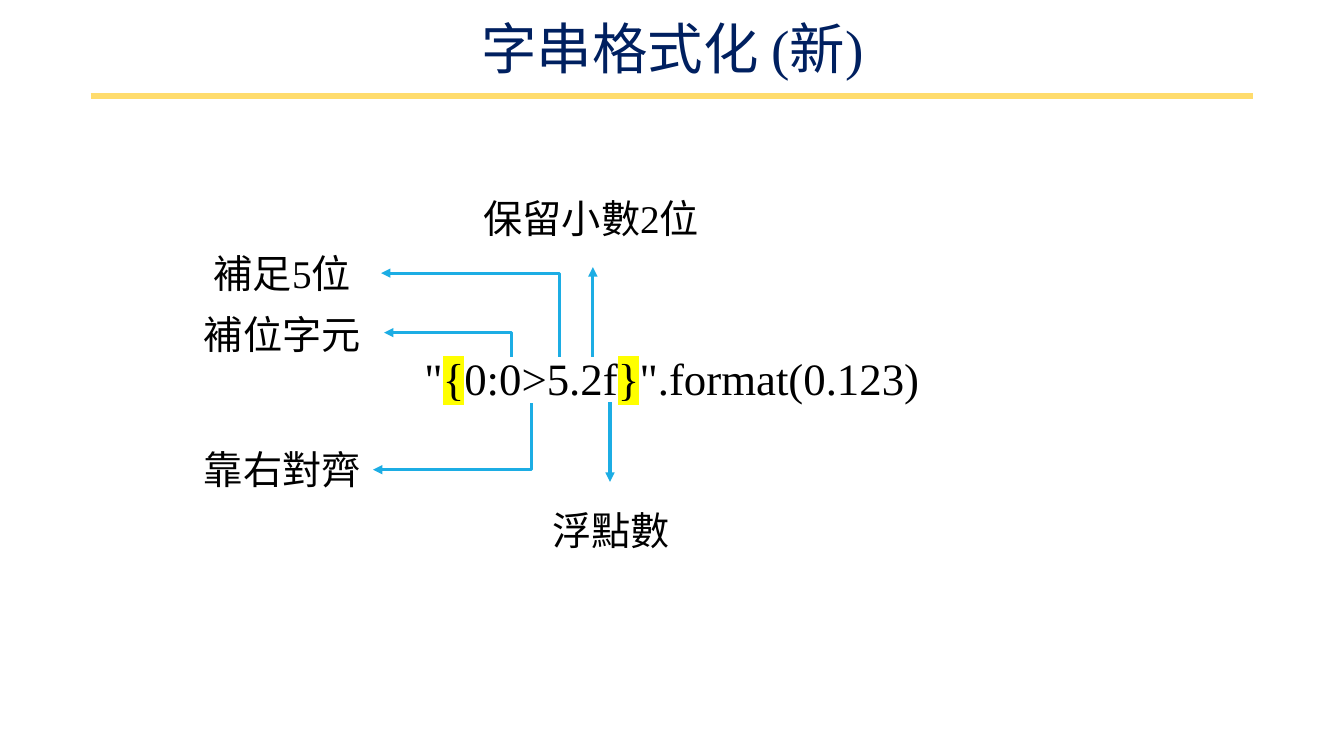
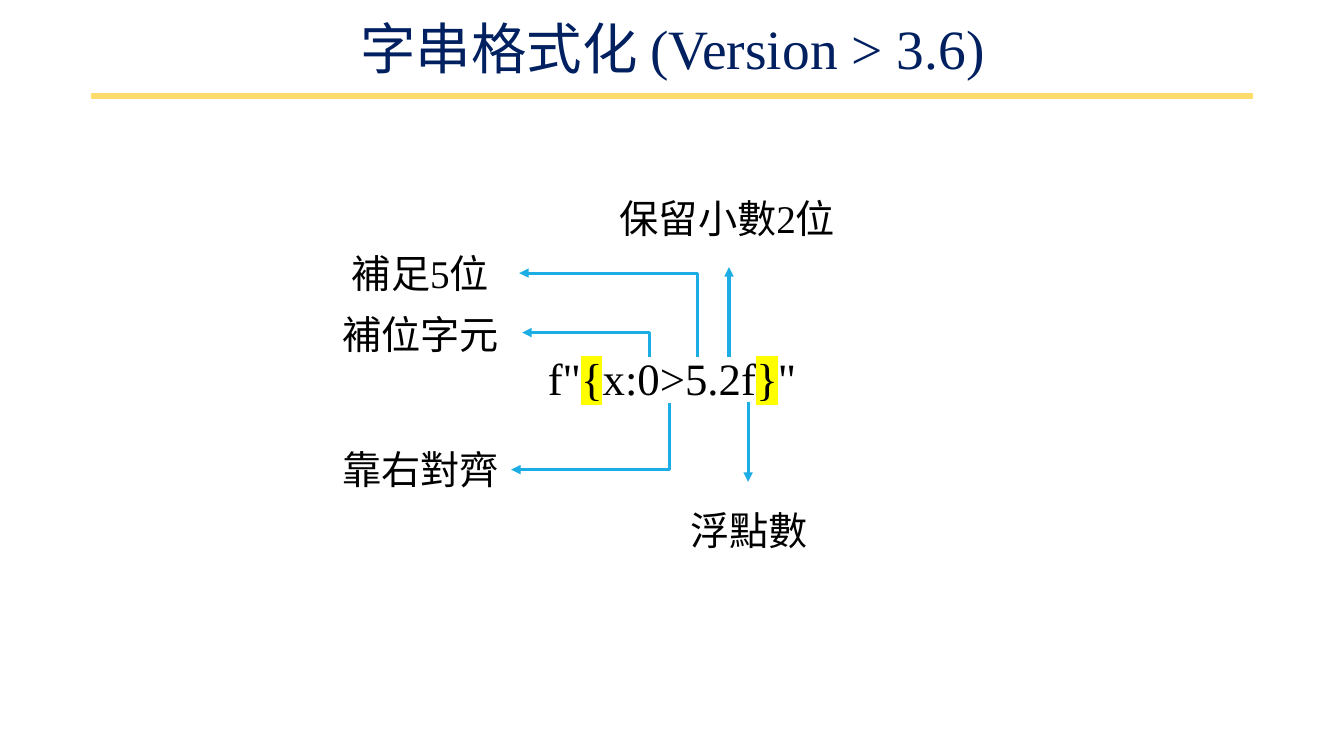
from dataclasses import dataclass

import pptx
import pptx.dml.color
import pptx.enum.shapes
import pptx.enum.text
import pptx.oxml
import pptx.oxml.ns
import pptx.util
from pptx.util import Inches

RGB = pptx.dml.color.RGBColor
Connector = pptx.enum.shapes.MSO_CONNECTOR
Point = tuple[float, float]


@dataclass(frozen=True)
class Theme:
    font: str = "Times New Roman"
    title_color: RGB = RGB(0x00, 0x20, 0x60)
    text_color: RGB = RGB(0x00, 0x00, 0x00)
    rule_color: RGB = RGB(0xFF, 0xDC, 0x6D)
    arrow_color: RGB = RGB(0x1C, 0xAD, 0xE4)
    highlight: str = "FFFF00"
    title_size: float = 39.6
    code_size: float = 32
    label_size: float = 28
    rule_width: float = 4.5
    arrow_width: float = 2.25


@dataclass(frozen=True)
class Callout:
    """A label, and an arrow whose head is near it and whose foot is at the code."""
    text: str
    left: float
    top: float
    width: float
    head: Point
    foot: Point
    shift: float = 1.37


@dataclass(frozen=True)
class FormatSlide:
    title: str
    code: tuple[str, ...]
    shifted: bool


THEME = Theme()
CALLOUTS = (
    Callout("浮點數", 4.96, 4.97, 2.2, (6.05, 4.78), (6.05, 3.99)),
    Callout("保留小數2位", 3.48, 1.88, 4.77, (5.88, 2.65), (5.88, 3.54), 1.35),
    Callout("補足5位", 1.7, 2.42, 2.2, (3.78, 2.71), (5.55, 3.54)),
    Callout("靠右對齊", 1.7, 4.37, 2.2, (3.7, 4.66), (5.27, 4)),
    Callout("補位字元", 1.7, 3.03, 2.2, (3.81, 3.3), (5.07, 3.54)),
)
SLIDES = (
    FormatSlide("字串格式化 (新)", ('"', "{", "0:0>5.2f", "}", '".format(0.123)'), False),
    FormatSlide("字串格式化 (Version > 3.6)", ('f"', "{", "x:0>5.2f", "}", '"'), True),
)


def style_paragraph(p, size: float, color: RGB) -> None:
    p.alignment = pptx.enum.text.PP_ALIGN.CENTER
    p.font.name = THEME.font
    p.font.size = pptx.util.Pt(size)
    p.font.color.rgb = color


def add_line(s, start: Point, end: Point, color: RGB, width: float):
    """Add a straight line, or a one-corner elbow if the ends differ both ways."""
    bent = start[0] != end[0] and start[1] != end[1]
    line = s.shapes.add_connector(Connector.ELBOW if bent else Connector.STRAIGHT,
                                  *map(Inches, start + end))
    line.line.color.rgb = color
    line.line.width = pptx.util.Pt(width)
    properties = line.element.spPr
    if bent:
        properties.find(pptx.oxml.ns.qn("a:prstGeom")).set("prst", "bentConnector2")
    properties.append(pptx.oxml.parse_xml(f"<a:effectLst {pptx.oxml.ns.nsdecls('a')}/>"))
    return line


def add_arrow(s, head: Point, foot: Point) -> None:
    line = add_line(s, head, foot, THEME.arrow_color, THEME.arrow_width)
    line.line.fill  # the outline element exists once its fill is set
    outline = line.element.spPr.find(pptx.oxml.ns.qn("a:ln"))
    outline.append(pptx.oxml.parse_xml(
        f'<a:headEnd {pptx.oxml.ns.nsdecls("a")} type="triangle"/>'))


def add_text(s, left: float, top: float, width: float, height: float,
             parts: tuple[str, ...], size: float) -> None:
    """Add a centred line of text; braces standing alone are highlighted."""
    tf = s.shapes.add_textbox(*map(Inches, (left, top, width, height))).text_frame
    tf.word_wrap = True
    p = tf.paragraphs[0]
    style_paragraph(p, size, THEME.text_color)
    for part in parts:
        r = p.add_run()
        r.text = part
        if part in ("{", "}"):
            r.font.fill.solid()
            r.font.color.rgb = THEME.text_color
            r.font.fill  # highlight follows the fill in the run properties
            r.font._element.append(pptx.oxml.parse_xml(
                f'<a:highlight {pptx.oxml.ns.nsdecls("a")}>'
                f'<a:srgbClr val="{THEME.highlight}"/></a:highlight>'))


def add_title(s, text: str) -> None:
    title = s.shapes.title
    title.left, title.top, title.width, title.height = map(Inches, (0.92, 0.18, 11.5, 0.66))
    tf = title.text_frame
    tf.text = text
    tf.vertical_anchor = pptx.enum.text.MSO_ANCHOR.MIDDLE
    p = tf.paragraphs[0]
    p.line_spacing = 0.9
    style_paragraph(p, THEME.title_size, THEME.title_color)
    add_line(s, (0.9, 0.95), (12.43, 0.95), THEME.rule_color, THEME.rule_width)


def add_callout(s, callout: Callout, shifted: bool) -> None:
    dx = callout.shift if shifted else 0
    add_text(s, callout.left + dx, callout.top, callout.width, 0.57,
             (callout.text,), THEME.label_size)
    (head_x, head_y), (foot_x, foot_y) = callout.head, callout.foot
    add_arrow(s, (head_x + dx, head_y), (foot_x + dx, foot_y))


def main() -> None:
    prs = pptx.Presentation()
    prs.slide_width, prs.slide_height = Inches(13.33), Inches(7.5)
    title_only = prs.slide_layouts[5]
    for content in SLIDES:
        s = prs.slides.add_slide(title_only)
        add_title(s, content.title)
        add_text(s, 2.23, 3.43, 8.87, 0.64, content.code, THEME.code_size)
        for callout in CALLOUTS:
            add_callout(s, callout, content.shifted)
    prs.save("out.pptx")


if __name__ == "__main__":
    main()
